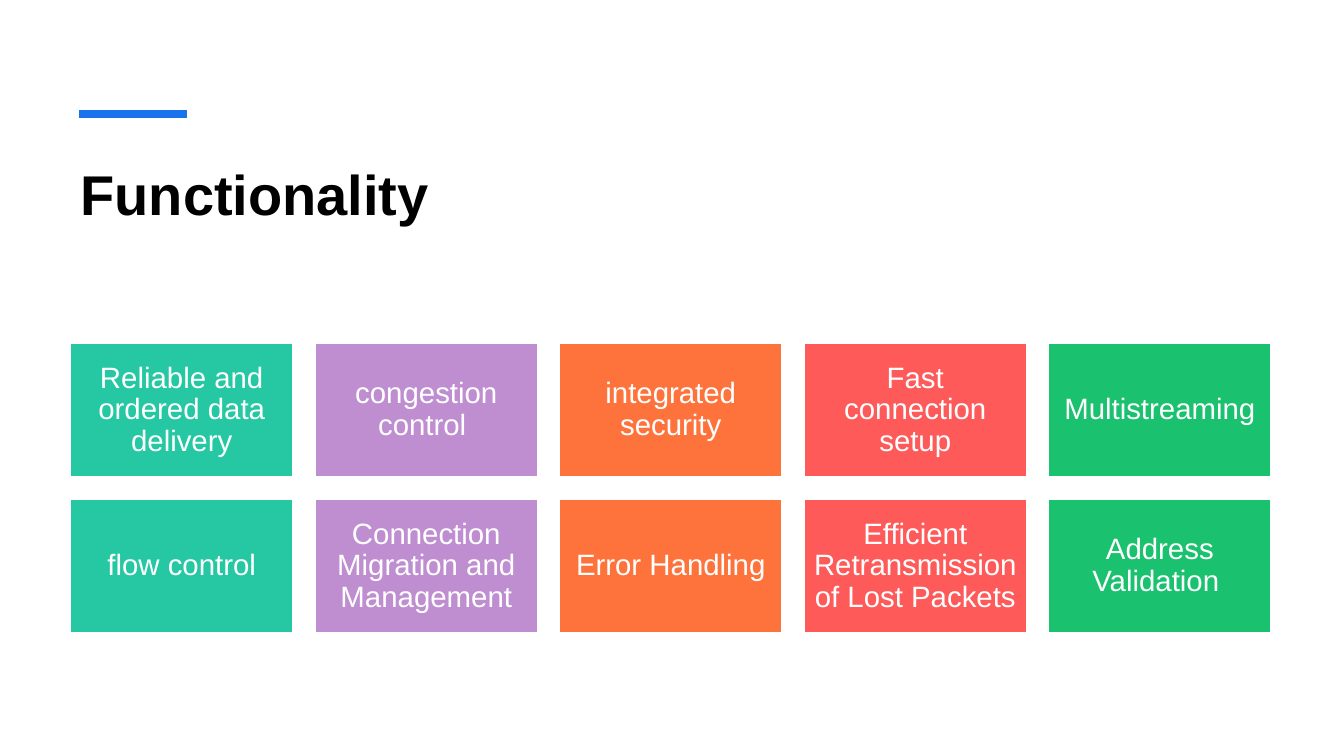
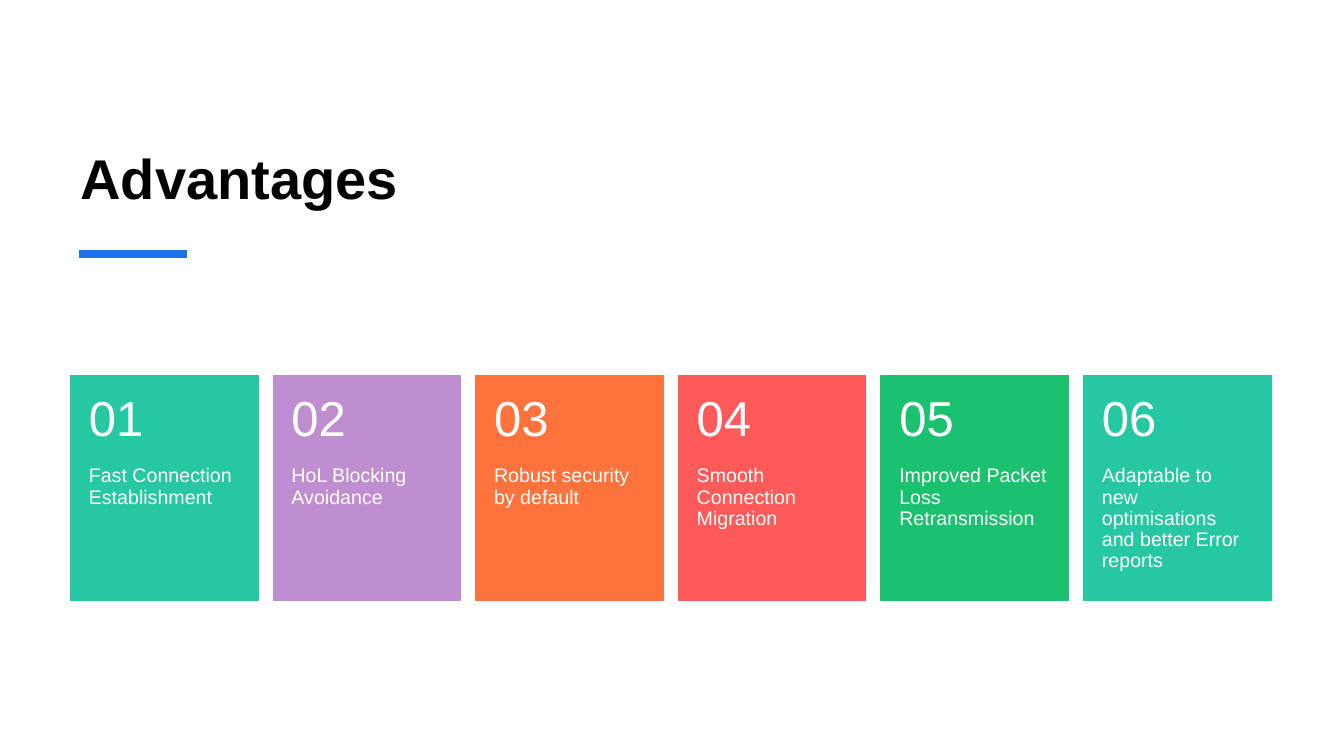
from lxml import etree
from pptx import Presentation
from pptx.dml.color import RGBColor
from pptx.enum import shapes, text
from pptx.oxml import ns
from pptx.util import Cm, Pt

# Shared style, lengths in cm
FONT = "Arial"
WHITE, BLACK, ACCENT = "FFFFFF", "000000", "1973EB"
PALETTE = ["25C8A2", "BF8ED1", "FE733C", "FE5A5A", "1AC16E"]
LEFT, CONTENT_W = 1.78, 30.25

FUNCTIONS = [
    "Reliable and ordered data delivery", "congestion control ",
    "integrated security", "Fast connection setup", "Multistreaming",
    "flow control", "Connection Migration and Management",
    "Error Handling", "Efficient Retransmission of Lost Packets",
    "Address Validation ",
]
ADVANTAGES = [
    "Fast Connection Establishment", "HoL Blocking Avoidance",
    "Robust security by default", "Smooth Connection Migration",
    "Improved Packet Loss Retransmission",
    "Adaptable to new optimisations and better Error reports",
]


def rgb(value):
    return RGBColor.from_string(value)


def column_left(col, count, width):
    """Left edge of one of count columns spread over the content width."""
    return LEFT + col * (CONTENT_W - width) / (count - 1)


def write(sp, words, size, align, anchor, insets, color=WHITE, bold=False,
          spacing=0.9):
    tf = sp.text_frame
    tf.word_wrap = True
    tf.auto_size = text.MSO_AUTO_SIZE.NONE
    tf.vertical_anchor = anchor
    (tf.margin_left, tf.margin_top,
     tf.margin_right, tf.margin_bottom) = [Cm(v) for v in insets]
    p = tf.paragraphs[0]
    p.text = words
    p.alignment = align
    p.line_spacing = spacing
    p.font.name = FONT
    p.font.size = Pt(size)
    p.font.bold = bold
    p.font.color.rgb = rgb(color)


def add_titled_slide(prs, title, top, height, anchor, accent_y):
    s = prs.slides.add_slide(prs.slide_layouts[5])
    sp = s.shapes.title
    sp.left, sp.top = Cm(LEFT), Cm(top)
    sp.width, sp.height = Cm(CONTENT_W), Cm(height)
    write(sp, title, 40, text.PP_ALIGN.LEFT, anchor,
          (0.25, 0.13, 0.25, 0.13), BLACK, True, 1.0)
    # Accent line
    line = s.shapes.add_connector(shapes.MSO_CONNECTOR.STRAIGHT, Cm(1.99),
                                  Cm(accent_y), Cm(4.71), Cm(accent_y))
    line.line.color.rgb = rgb(ACCENT)
    line.line.width = Pt(6)
    etree.SubElement(line._element.spPr, ns.qn("a:effectLst"))
    return s


def add_box(s, left, top, width, height, fill, outline):
    sp = s.shapes.add_shape(shapes.MSO_SHAPE.RECTANGLE, Cm(left), Cm(top),
                            Cm(width), Cm(height))
    sp.shadow.inherit = False
    sp.fill.solid()
    sp.fill.fore_color.rgb = rgb(fill)
    sp.line.color.rgb = rgb(outline)
    sp.line.width = Pt(1)
    return sp


def add_tile(s, index, words):
    columns, width, height, row_pitch = 5, 5.6, 3.36, 3.93
    row, col = divmod(index, columns)
    sp = add_box(s, column_left(col, columns, width), 8.66 + row * row_pitch,
                 width, height, PALETTE[col], WHITE)
    write(sp, words, 21, text.PP_ALIGN.CENTER, text.MSO_ANCHOR.MIDDLE,
          (0.22,) * 4)


def add_card(s, index, words):
    top, width, number_h, caption_h = 9.47, 4.72, 2.27, 3.4
    left = column_left(index, len(ADVANTAGES), width)
    color = PALETTE[index % len(PALETTE)]
    add_box(s, left, top, width, number_h + caption_h, color, color)
    caption = s.shapes.add_textbox(Cm(left), Cm(top + number_h),
                                   Cm(width), Cm(caption_h))
    write(caption, words, 14, text.PP_ALIGN.LEFT, text.MSO_ANCHOR.TOP,
          (0.46, 0, 0.46, 0.91))
    number = s.shapes.add_textbox(Cm(left), Cm(top), Cm(width), Cm(number_h))
    write(number, f"{index + 1:02d}", 35, text.PP_ALIGN.LEFT,
          text.MSO_ANCHOR.MIDDLE, (0.46,) * 4)


def main():
    prs = Presentation()
    prs.slide_width, prs.slide_height = Cm(33.87), Cm(19.05)

    # Functionality: two rows of tiles
    s = add_titled_slide(prs, "Functionality", 3.9, 3.05,
                         text.MSO_ANCHOR.TOP, 2.87)
    for i, words in enumerate(FUNCTIONS):
        add_tile(s, i, words)

    # Advantages: a row of numbered cards
    s = add_titled_slide(prs, "Advantages", 1.57, 3.86,
                         text.MSO_ANCHOR.BOTTOM, 6.4)
    for i, words in enumerate(ADVANTAGES):
        add_card(s, i, words)

    prs.save("out.pptx")


if __name__ == "__main__":
    main()
